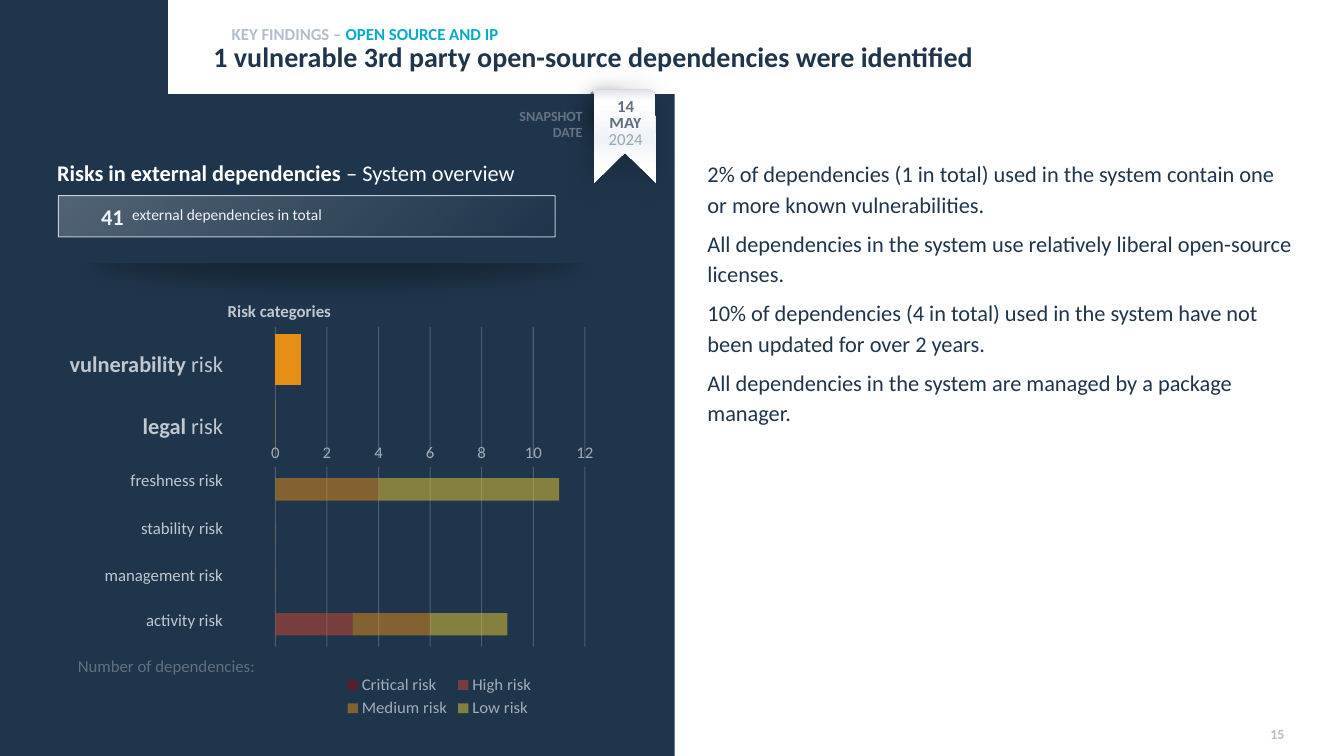
from dataclasses import dataclass

from pptx import Presentation
from pptx.chart.data import CategoryChartData
from pptx.dml.color import RGBColor
from pptx.enum.chart import XL_AXIS_CROSSES as Crosses, XL_CHART_TYPE as ChartType
from pptx.enum.chart import XL_LEGEND_POSITION as LegendSpot, XL_TICK_MARK as Tick
from pptx.enum.shapes import MSO_SHAPE as Preset
from pptx.enum.text import MSO_ANCHOR as Anchor, MSO_AUTO_SIZE as AutoSize, PP_ALIGN as Align
from pptx.oxml import parse_xml
from pptx.oxml.ns import nsdecls, qn
from pptx.util import Cm, Pt


@dataclass(frozen=True)
class Theme:
    font: str = "Calibri"
    navy: str = "1F354B"
    deep: str = "172838"
    black: str = "000000"
    white: str = "FFFFFF"
    pale: str = "EFF3F8"
    silver: str = "E0E3E7"
    label: str = "C0C7CF"
    axis: str = "A1ACB7"
    slate: str = "657484"
    mist: str = "B2BECD"
    cyan: str = "04ABC8"
    critical: str = "910813"
    high: str = "CF4731"
    medium: str = "E78E17"
    low: str = "EBC937"
    title: int = 20
    body: int = 16
    gap: int = 14
    small: int = 12
    note: int = 11
    tiny: int = 10


T = Theme()
SIZE = (33.87, 19.05)
INSET = (0.25, 0.13, 0.25, 0.13)
FLAT = (0, 0.13, 0, 0.13)

TITLE = [[("1 vulnerable 3rd party open-source dependencies were identified", T.title, T.navy, True)]]
TITLE_BOX = (5.38, 1.09, 27.25, 0.79)

FINDINGS = [
    "2% of dependencies (1 in total) used in the system contain one or more known vulnerabilities.",
    "All dependencies in the system use relatively liberal open-source licenses.",
    "10% of dependencies (4 in total) used in the system have not been updated for over 2 years.",
    "All dependencies in the system are managed by a package manager.",
]

RISK_LABELS = [
    (8.15, 1.32, 1.8, [("vulnerability ", T.body, T.label, True), ("risk", T.body, T.label, False)]),
    (9.91, 1.17, 1.5, [("legal ", T.body, T.label, True), ("risk", T.body, T.label, False)]),
    (11.71, 0.76, 1, [("freshness risk", T.small, T.label, False)]),
    (12.85, 0.86, 1, [("stability", T.small, T.label, False), (" ", T.gap, T.label, False),
                      ("risk", T.small, T.label, False)]),
    (14.1, 0.76, 1, [("management risk", T.small, T.label, False)]),
    (15.24, 0.76, 1, [("activity risk", T.small, T.label, False)]),
]
LABEL_LEFT, LABEL_WIDTH = 0.5, 5.37

TEXTS = [
    ((1.19, 3.78, 12.42, 0.99), Align.LEFT, 1.14, INSET, Anchor.TOP,
     [[("Risks in external dependencies", T.body, T.white, True),
       (" – System overview", T.body, T.white, False)]]),
    ((3.23, 5.18, 5.41, 0.48), Align.LEFT, 1, (0.1, 0, 0.1, 0), Anchor.TOP,
     [[("external dependencies in total", T.note, T.pale, False)]]),
    ((1.57, 5.05, 1.55, 0.74), Align.RIGHT, 1.14, FLAT, Anchor.MIDDLE,
     [[("41", T.body, T.pale, True)]]),
    ((0, 16.33, 6.68, 0.81), Align.RIGHT, 1.13, INSET, Anchor.TOP,
     [[("Number of dependencies:", T.small, T.axis, False, 50)]]),
    ((5.49, 7.37, 3.6, 0.81), Align.LEFT, 1.13, INSET, Anchor.TOP,
     [[("Risk categories", T.small, T.label, True)]]),
    ((31.93, 18.19, 0.69, 0.66), Align.RIGHT, 1, (0, 0.1, 0.25, 0.13), Anchor.MIDDLE,
     [[("15", T.tiny, T.mist, True)]]),
    ((5.84, 0.48, 26.77, 0.61), Align.LEFT, 1.14, (0, 0.05, 0.25, 0), Anchor.TOP,
     [[("KEY FINDINGS – ", T.small, T.mist, True), ("OPEN SOURCE AND IP", T.small, T.cyan, True)]]),
    ((17.83, 3.81, 14.81, 13.74), Align.LEFT, 1.14, FLAT, Anchor.TOP,
     [[(finding, T.body, T.navy, False)] for finding in FINDINGS]),
    ((12.67, 2.57, 2.26, 1.14), Align.RIGHT, 1, INSET, Anchor.TOP,
     [[("SNAPSHOT DATE", T.tiny, T.slate, True)]]),
    ((14, 2.39, 3.53, 1.5), Align.CENTER, 0.8, FLAT, Anchor.TOP,
     [[("14", T.small, T.navy, True, 70)], [("MAY", T.small, T.navy, True, 70)],
      [("2024", T.small, T.slate, False, 60)]]),
]
TEXTS += [((LABEL_LEFT, top, LABEL_WIDTH, height), Align.RIGHT, leading, INSET, Anchor.TOP, [spans])
          for top, height, leading, spans in RISK_LABELS]

FOLD = [(14.88, 2.39), (14.88, 2.34), (15.01, 2.26), (16.38, 2.26), (16.51, 2.34), (16.51, 2.39)]
RIBBON = [(14.91, 2.25), (16.4, 2.25), (16.5, 2.35), (16.53, 4.6), (15.75, 3.84), (14.98, 4.6), (14.98, 2.35)]
RIBBON_STOPS = [(0, T.silver, 100), (13, T.white, 100), (55, T.pale, 100), (81, T.white, 100)]
BANNER_STOPS = [(0, T.pale, 25), (100, T.pale, 0)]

RISK_COLORS = [T.critical, T.high, T.medium, T.low]
MAIN_CHART = dict(
    box=(6.58, 7.85, 8.99, 4.09), plot=(0.04, 0.095, 0.875, 0.81), gap=30, top=1210, step=200, alpha=100,
    series=[("Series 1", (0, 0)), ("Series 2", (0, 0)), ("Series 3", (100, 0)), ("Series 4", (0, 0))],
    detailed=False)
DETAIL_CHART = dict(
    box=(6.58, 11.18, 8.99, 7.01), plot=(0.04, 0.055, 0.875, 0.667), gap=100, top=12.1, step=2, alpha=50,
    series=[("Critical risk", (0, 0, 0, 0)), ("High risk", (0, 0, 0, 3)),
            ("Medium risk", (4, 0, 0, 3)), ("Low risk", (7, 0, 0, 3))],
    detailed=True)


def cm(values):
    return [Cm(value) for value in values]


def fade(element, percent):
    for color in element.iter(qn("a:srgbClr")):
        color.append(parse_xml(f'<a:alpha {nsdecls("a")} val="{percent * 1000}"/>'))


def paint(shape, color, alpha=100):
    shape.shadow.inherit = False
    shape.line.fill.background()
    shape.fill.solid()
    shape.fill.fore_color.rgb = RGBColor.from_string(color)
    if alpha < 100:
        fade(shape.element.spPr, alpha)
    return shape


def add_block(page, box, color, alpha=100, preset=Preset.RECTANGLE):
    return paint(page.shapes.add_shape(preset, *cm(box)), color, alpha)


def add_outline(page, points, color, alpha=100):
    builder = page.shapes.build_freeform(*cm(points[0]), scale=1.0)
    builder.add_line_segments([cm(point) for point in points[1:]], close=True)
    return paint(builder.convert_to_shape(), color, alpha)


def add_gradient(shape, stops, angle):
    marks = "".join(f'<a:gs pos="{at * 1000}"><a:srgbClr val="{color}"><a:alpha val="{alpha * 1000}"/>'
                    f'</a:srgbClr></a:gs>' for at, color, alpha in stops)
    fill = parse_xml(f'<a:gradFill {nsdecls("a")} rotWithShape="1"><a:gsLst>{marks}</a:gsLst>'
                     f'<a:lin ang="{angle * 60000}" scaled="0"/></a:gradFill>')
    holder = shape.element.spPr
    holder.replace(holder.find(qn("a:solidFill")), fill)


def add_effect(shape, markup):
    effect = parse_xml(markup.replace(" ", f' {nsdecls("a")} ', 1))
    shape.element.spPr.find(qn("a:effectLst")).append(effect)


def add_shadow(shape, alpha, blur):
    add_effect(shape, f'<a:outerShdw blurRad="{Pt(blur)}" dist="{Pt(3)}" dir="8100000">'
                      f'<a:srgbClr val="{T.black}"><a:alpha val="{alpha * 1000}"/></a:srgbClr></a:outerShdw>')


def write(shape, align, leading, insets, anchor, paragraphs):
    frame = shape.text_frame
    frame.word_wrap = True
    frame.auto_size = AutoSize.NONE
    frame.vertical_anchor = anchor
    frame.margin_left, frame.margin_top, frame.margin_right, frame.margin_bottom = cm(insets)
    for index, spans in enumerate(paragraphs):
        para = frame.add_paragraph() if index else frame.paragraphs[0]
        para.alignment = align
        para.line_spacing = leading
        para.space_after = Pt(6 if anchor == Anchor.TOP and leading == 1.14 else 0)
        for text, size, color, bold, *alpha in spans:
            span = para.add_run()
            span.text = text
            span.font.name = T.font
            span.font.size = Pt(size)
            span.font.bold = bold
            span.font.color.rgb = RGBColor.from_string(color)
            if alpha:
                fade(span._r, alpha[0])


def style_font(font, size, color):
    font.name = T.font
    font.size = Pt(size)
    font.color.rgb = RGBColor.from_string(color)


def add_risk_chart(page, box, plot, gap, top, step, alpha, series, detailed):
    data = CategoryChartData()
    data.categories = [str(number + 1) for number in range(len(series[0][1]))]
    for name, values in series:
        data.add_series(name, values)
    chart = page.shapes.add_chart(ChartType.BAR_STACKED, *cm(box), data).chart
    style_font(chart.font, T.tiny, T.slate)
    chart.has_title = False
    chart.has_legend = detailed
    bars = chart.plots[0]
    bars.gap_width, bars.overlap, bars.vary_by_categories = gap, 100, False
    for bar, color in zip(bars.series, RISK_COLORS):
        bar.invert_if_negative = False
        bar.format.fill.solid()
        bar.format.fill.fore_color.rgb = RGBColor.from_string(color)
    categories, values = chart.category_axis, chart.value_axis
    categories.visible = False
    categories.reverse_order = True
    categories.crosses = Crosses.MAXIMUM
    values.visible = detailed
    values.minimum_scale, values.maximum_scale, values.major_unit = 0, top, step
    values.major_tick_mark = Tick.NONE
    values.has_major_gridlines = True
    grid = values.major_gridlines.format.line
    grid.width = Pt(0.75)
    grid.color.rgb = RGBColor.from_string(T.axis)
    if detailed:
        values.format.line.fill.background()
        style_font(values.tick_labels.font, T.small, T.axis)
        chart.legend.position = LegendSpot.BOTTOM
        chart.legend.include_in_layout = False
        style_font(chart.legend.font, T.small, T.axis)
    root = chart.element
    for bar in root.iter(qn("c:ser")):
        fade(bar, alpha)
    fade(next(root.iter(qn("c:majorGridlines"))), 35)
    area = next(root.iter(qn("c:plotArea")))
    for layout in area.findall(qn("c:layout")):
        area.remove(layout)
    sides = "".join(f'<c:{side} val="{value}"/>' for side, value in zip("xywh", plot))
    area.insert(0, parse_xml(f'<c:layout {nsdecls("c")}><c:manualLayout><c:layoutTarget val="inner"/>'
                             f'<c:xMode val="edge"/><c:yMode val="edge"/>{sides}</c:manualLayout></c:layout>'))
    root.find(qn("c:chart")).addnext(parse_xml(
        f'<c:spPr {nsdecls("c", "a")}><a:noFill/><a:ln><a:noFill/></a:ln></c:spPr>'))


def main():
    deck = Presentation()
    deck.slide_width, deck.slide_height = cm(SIZE)
    page = deck.slides.add_slide(deck.slide_layouts[5])
    add_block(page, (0, 0, *SIZE), T.navy)
    add_block(page, (4.24, 0, 29.63, 2.37), T.white)
    glow = add_block(page, (0.94, 5.72, 15.01, 1.9), T.black, 25, Preset.OVAL)
    add_effect(glow, f'<a:softEdge rad="{Pt(12.5)}"/>')
    add_block(page, (1.19, 3.94, 15.19, 2.69), T.navy)
    banner = add_block(page, (1.47, 4.93, 12.52, 1.04), T.pale)
    add_gradient(banner, BANNER_STOPS, 45)
    banner.line.color.rgb = RGBColor.from_string(T.pale)
    banner.line.width = Pt(0.75)
    fade(banner.element.spPr.find(qn("a:ln")), 75)
    add_block(page, (17, 2.03, 16.87, 17.02), T.white)
    add_shadow(add_block(page, (15.01, 2.31, 0.66, 1.02), T.navy, preset=Preset.OVAL), 46, 15)
    add_outline(page, FOLD, T.deep, 45)
    ribbon = add_outline(page, RIBBON, T.white)
    add_gradient(ribbon, RIBBON_STOPS, 90)
    add_shadow(ribbon, 20, 20)

    title = page.shapes.title
    title.left, title.top, title.width, title.height = cm(TITLE_BOX)
    write(title, Align.LEFT, 0.9, (0, 0, 0, 0), Anchor.TOP, TITLE)
    title.element.getparent().append(title.element)
    for box, *style in TEXTS:
        write(page.shapes.add_textbox(*cm(box)), *style)
    for chart in (MAIN_CHART, DETAIL_CHART):
        add_risk_chart(page, **chart)
    deck.save("out.pptx")


if __name__ == "__main__":
    main()
